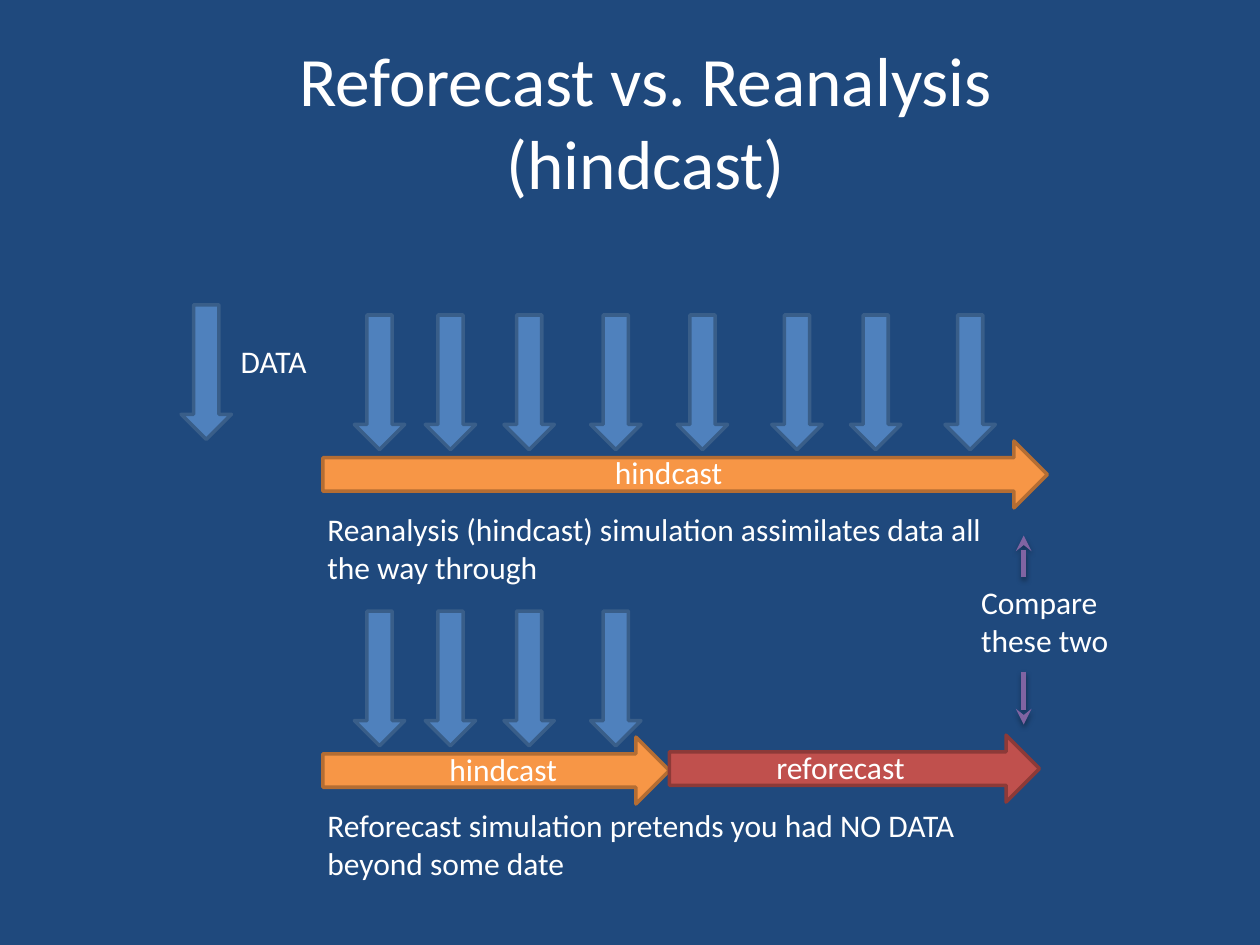
from collections import namedtuple

from lxml.etree import SubElement
from pptx import Presentation
from pptx.dml.color import RGBColor
from pptx.enum.shapes import MSO_CONNECTOR as Connector, MSO_SHAPE as Preset
from pptx.enum.text import MSO_ANCHOR as Anchor, PP_ALIGN as Align
from pptx.oxml.ns import qn
from pptx.util import Inches, Pt

NAVY = RGBColor(0x1F, 0x49, 0x7D)
WHITE = RGBColor(0xFF, 0xFF, 0xFF)
BLUE = RGBColor(0x4F, 0x81, 0xBD)
BLUE_EDGE = RGBColor(0x39, 0x5E, 0x89)
ORANGE = RGBColor(0xF7, 0x96, 0x46)
ORANGE_EDGE = RGBColor(0xB4, 0x6D, 0x33)
RED = RGBColor(0xC0, 0x50, 0x4D)
RED_EDGE = RGBColor(0x8C, 0x3A, 0x38)
PURPLE = RGBColor(0x80, 0x64, 0xA2)

COLUMNS, ROWS = 160, 120
WIDTH, HEIGHT = Inches(10), Inches(7.5)
DATA_OFFSETS = [4, 13, 23, 34, 45, 57, 67, 79]

Box = namedtuple("Box", "left top width height")
Span = namedtuple("Span", "text left drop length label_left label_width fill edge")


def across(columns):
    return round(WIDTH * columns / COLUMNS)


def down(rows):
    return round(HEIGHT * rows / ROWS)


def to_slide(box):
    return across(box.left), down(box.top), across(box.width), down(box.height)


def add_text(slide, box, text, size=18, align=Align.LEFT, anchor=Anchor.TOP):
    frame = slide.shapes.add_textbox(*to_slide(box)).text_frame
    frame.word_wrap = True
    frame.vertical_anchor = anchor
    frame.text = text
    paragraph = frame.paragraphs[0]
    paragraph.alignment = align
    font = paragraph.runs[0].font
    font.name, font.size = "Calibri", Pt(size)
    font.color.rgb = WHITE


def add_block_arrow(slide, preset, box, fill, edge):
    arrow = slide.shapes.add_shape(preset, *to_slide(box))
    arrow.shadow.inherit = False
    arrow.fill.solid()
    arrow.fill.fore_color.rgb = fill
    arrow.line.color.rgb = edge
    arrow.line.width = Pt(2)


def add_data_arrow(slide, left, top):
    box = Box(left, top, 6.4, 17.1)
    add_block_arrow(slide, Preset.DOWN_ARROW, box, BLUE, BLUE_EDGE)


def add_pointer(slide, column, start, end):
    pointer = slide.shapes.add_connector(
        Connector.STRAIGHT, across(column), down(start), across(column), down(end))
    pointer.line.color.rgb = PURPLE
    pointer.line.width = Pt(3)
    SubElement(pointer.line._get_or_add_ln(), qn("a:tailEnd"), type="stealth")
    effects = SubElement(pointer._element.spPr, qn("a:effectLst"))
    shadow = SubElement(effects, qn("a:outerShdw"), blurRad=str(Pt(3.1)),
                        dist=str(Pt(1.8)), dir="5400000", rotWithShape="0")
    black = SubElement(shadow, qn("a:srgbClr"), val="000000")
    SubElement(black, qn("a:alpha"), val="35000")


def add_legend(slide, box):
    add_data_arrow(slide, box.left, box.top)
    label = Box(box.left + 6, box.top + 4, box.width - 6, 6.4)
    add_text(slide, label, "DATA")


def add_simulation(slide, box, data_offsets, spans, caption):
    for offset in data_offsets:
        add_data_arrow(slide, box.left + offset, box.top)
    for span in spans:
        left, top = box.left + span.left, box.top + 16 + span.drop
        add_block_arrow(slide, Preset.RIGHT_ARROW,
                        Box(left, top, span.length, 8.5), span.fill, span.edge)
        label = Box(left + span.label_left, top + 0.8, span.label_width, 6.4)
        add_text(slide, label, span.text)
    add_text(slide, Box(box.left - 1, box.top + 24, 89, box.height - 24), caption)


def add_comparison(slide, box):
    column = box.left + 7
    add_text(slide, Box(box.left, box.top + 5.3, box.width, 11.3), "Compare these two")
    add_pointer(slide, column, box.top + 5.3, box.top)
    add_pointer(slide, column, box.top + 17.3, box.top + box.height)


def main():
    deck = Presentation()
    deck.slide_width, deck.slide_height = WIDTH, HEIGHT
    slide = deck.slides.add_slide(deck.slide_layouts[6])
    slide.background.fill.solid()
    slide.background.fill.fore_color.rgb = NAVY

    add_text(slide, Box(28, 5.3, 108, 20), "Reforecast vs. Reanalysis (hindcast)",
             39.6, Align.CENTER, Anchor.MIDDLE)
    add_simulation(
        slide, Box(41, 40, 92, 35.3), DATA_OFFSETS,
        [Span("hindcast", 0, 0, 92, 35.5, 18.9, ORANGE, ORANGE_EDGE)],
        "Reanalysis (hindcast) simulation assimilates data all the way through")
    add_simulation(
        slide, Box(41, 77.6, 91, 35.3), DATA_OFFSETS[:4],
        [Span("hindcast", 0, 0, 44, 14.5, 18.9, ORANGE, ORANGE_EDGE),
         Span("reforecast", 44, -0.25, 47, 12, 23, RED, RED_EDGE)],
        "Reforecast simulation pretends you had NO DATA beyond some date")
    add_legend(slide, Box(23, 38.7, 22, 17.1))
    add_comparison(slide, Box(123, 68, 23, 24))
    deck.save("out.pptx")


if __name__ == "__main__":
    main()
